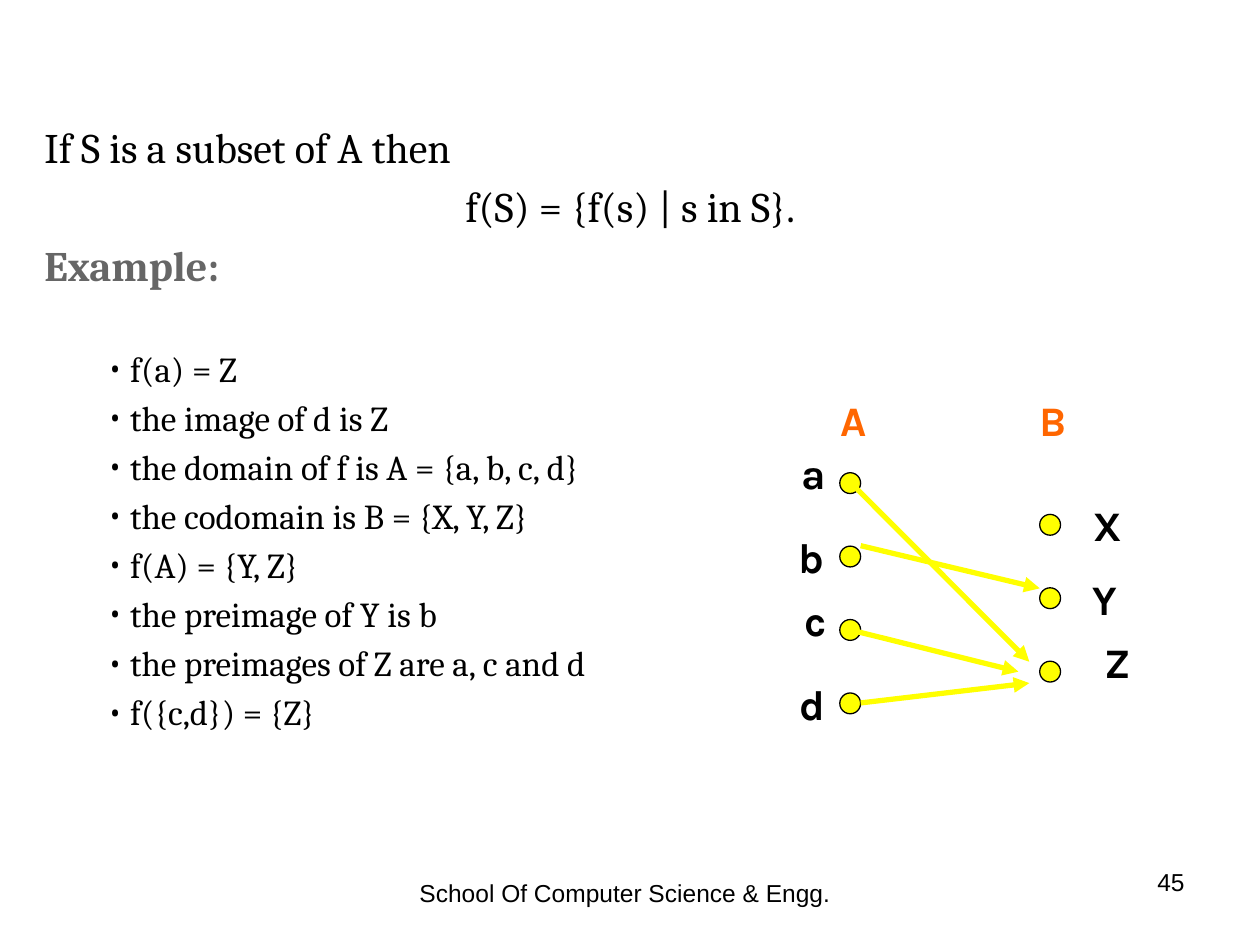
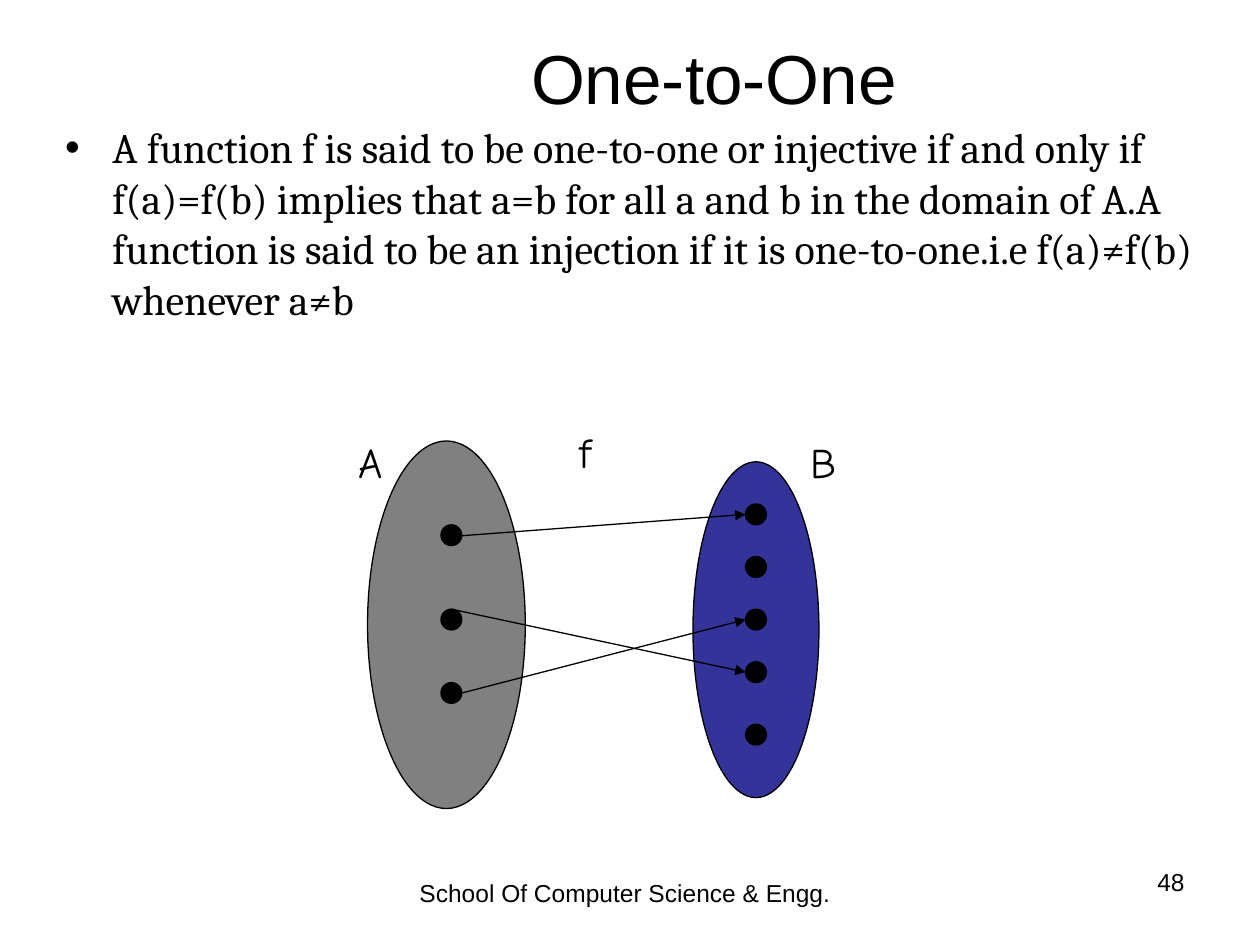
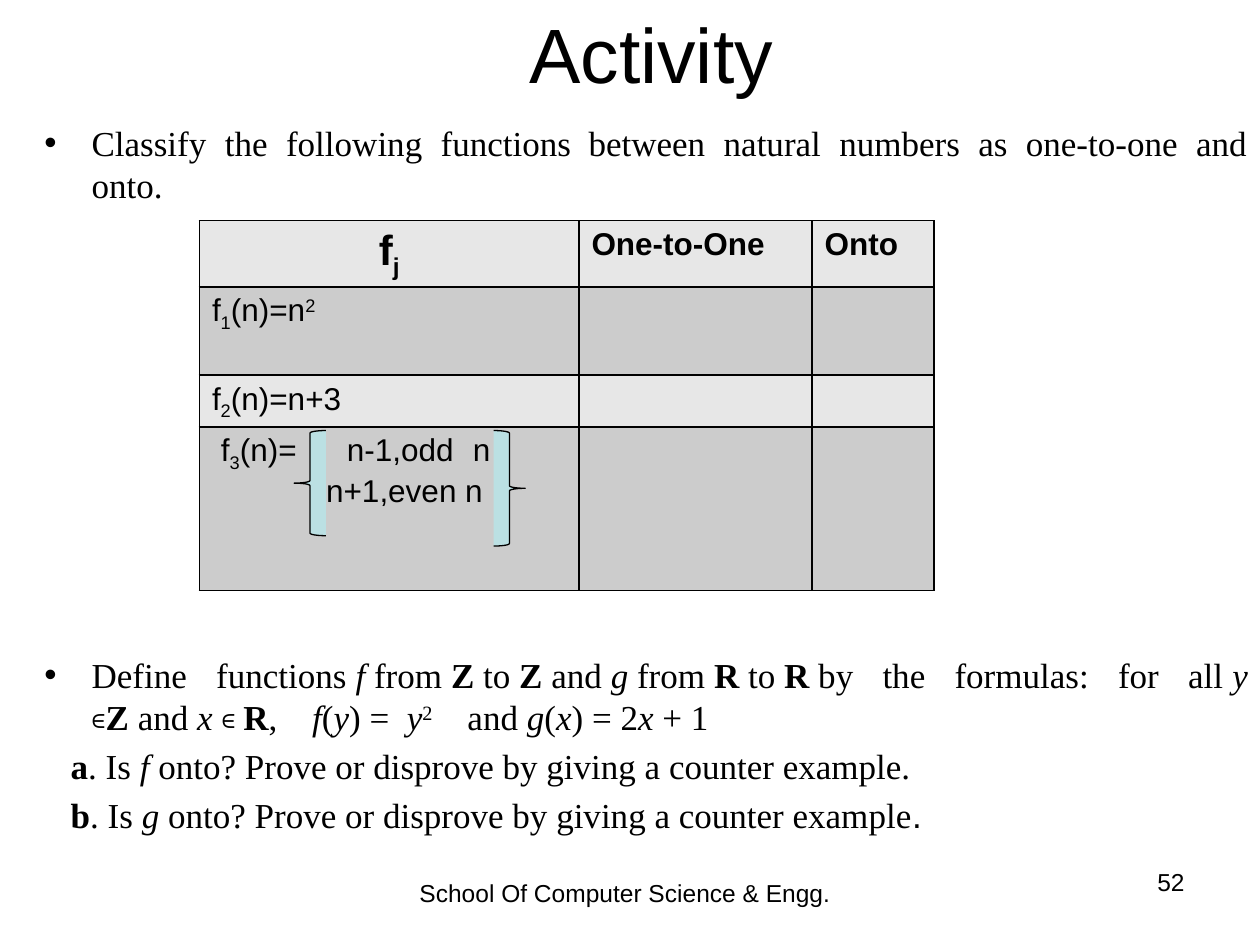
from lxml import etree
from pptx import Presentation
from pptx.dml.color import RGBColor
from pptx.enum.shapes import MSO_CONNECTOR, MSO_SHAPE
from pptx.enum.text import MSO_AUTO_SIZE, MSO_ANCHOR, PP_ALIGN
from pptx.oxml.ns import qn
from pptx.util import Cm, Pt

LEFT, CENTER, RIGHT, JUSTIFY = (PP_ALIGN.LEFT, PP_ALIGN.CENTER,
                                PP_ALIGN.RIGHT, PP_ALIGN.JUSTIFY)
MIDDLE = MSO_ANCHOR.MIDDLE
NO_AUTOFIT = MSO_AUTO_SIZE.NONE
OVAL, LEFT_BRACE, RIGHT_BRACE = (MSO_SHAPE.OVAL, MSO_SHAPE.LEFT_BRACE,
                                 MSO_SHAPE.RIGHT_BRACE)
STRAIGHT = MSO_CONNECTOR.STRAIGHT

BLACK = RGBColor(0x00, 0x00, 0x00)
GREY_TEXT = RGBColor(0x66, 0x66, 0x66)
ORANGE = RGBColor(0xFF, 0x66, 0x00)
YELLOW = RGBColor(0xFF, 0xFF, 0x00)
DOMAIN_GREY = RGBColor(0x80, 0x80, 0x80)
CODOMAIN_BLUE = RGBColor(0x33, 0x33, 0x99)
BRACE_BLUE = RGBColor(0xBB, 0xE0, 0xE3)
ROW_LIGHT = RGBColor(0xE7, 0xE7, 0xE7)
ROW_DARK = RGBColor(0xCC, 0xCC, 0xCC)

SANS, SERIF, TIMES = "Arial", "Cambria", "Times New Roman"
FOOTER = "School Of Computer Science & Engg."
DOT = 0.42
NBSP = chr(160)

RUN_STYLES = {
    "b": {"bold": True},
    "i": {"italic": True},
    "symbol": {"italic": True, "name": SERIF},
    "sans": {"name": SANS},
}
BASELINES = {"sub": "-25000", "sup": "30000"}


def set_attributes(target, values):
    for name, value in values.items():
        setattr(target, name, value)


def place(shape, box):
    set_attributes(shape, dict(zip(("left", "top", "width", "height"), map(Cm, box))))


def write(paragraph, content, size, font=SANS, color=BLACK, bold=False,
          align=LEFT, before=None, indent=None, bullet=None, tabs=()):
    """Fill a paragraph; content is a string or a list of strings and (text, style).

    A tilde stands for a no-break space; indent is (left, first line) in cm;
    bullet is None to inherit, "" for none, or a character.
    """
    properties = paragraph._p.get_or_add_pPr()
    if indent:
        properties.set("marL", str(Cm(indent[0])))
        properties.set("indent", str(Cm(indent[1])))
    if bullet:
        etree.SubElement(properties, qn("a:buFont")).set("typeface", font)
        etree.SubElement(properties, qn("a:buChar")).set("char", bullet)
    elif bullet == "":
        etree.SubElement(properties, qn("a:buNone"))
    if tabs:
        tab_list = etree.SubElement(properties, qn("a:tabLst"))
        for position in tabs:
            tab = etree.SubElement(tab_list, qn("a:tab"))
            tab.set("pos", str(Cm(position)))
            tab.set("algn", "l")
    paragraph.alignment = align
    if before is not None:
        paragraph.space_before = Pt(before)
    for part in [content] if isinstance(content, str) else content:
        text, style = (part, "") if isinstance(part, str) else part
        run = paragraph.add_run()
        run.text = text.replace("~", NBSP)
        base = {"size": Pt(size), "name": font, "bold": bold}
        set_attributes(run.font, base | RUN_STYLES.get(style, {}))
        run.font.color.rgb = color
        if style in BASELINES:
            run._r.get_or_add_rPr().set("baseline", BASELINES[style])


def write_all(frame, entries, **shared):
    """Write (content, format) entries as the paragraphs of a text frame."""
    for index, (content, values) in enumerate(entries):
        paragraph = frame.add_paragraph() if index else frame.paragraphs[0]
        first = {} if index else {"before": 0}
        write(paragraph, content, **(shared | first | values))


def add_label(shapes, text, box, **values):
    frame = shapes.add_textbox(*map(Cm, box)).text_frame
    frame.word_wrap = True
    write(frame.paragraphs[0], text, **values)


def add_outlined(shapes, kind, box, fill):
    shape = shapes.add_shape(kind, *map(Cm, box))
    shape.shadow.inherit = False
    shape.fill.solid()
    shape.fill.fore_color.rgb = fill
    shape.line.color.rgb = BLACK
    shape.line.width = Pt(0.75)
    return shape


def add_dots(shapes, left, tops, fill):
    for top in tops:
        add_outlined(shapes, OVAL, (left, top, DOT, DOT), fill)


def add_arrows(shapes, ends, color, width):
    for coordinates in ends:
        arrow = shapes.add_connector(STRAIGHT, *map(Cm, coordinates))
        arrow.line.color.rgb = color
        arrow.line.width = Pt(width)
        etree.SubElement(arrow.line._get_or_add_ln(), qn("a:tailEnd")).set("type", "triangle")
        etree.SubElement(arrow._element.spPr, qn("a:effectLst"))


def add_page(deck, number, body_box, title=None, title_box=None, title_size=44):
    """Add a slide with its title, footer and number; return it and its body frame."""
    slide = deck.slides.add_slide(deck.slide_layouts[1])
    heading, body = slide.shapes.title, slide.placeholders[1]
    if title:
        place(heading, title_box)
        set_attributes(heading.text_frame, {"auto_size": NO_AUTOFIT,
                                            "vertical_anchor": MIDDLE})
        write(heading.text_frame.paragraphs[0], title, title_size, align=CENTER)
    else:
        heading._element.getparent().remove(heading._element)
    place(body, body_box)
    body.text_frame.auto_size = NO_AUTOFIT
    add_label(slide.shapes, FOOTER, (6.35, 17.57, 12.5, 0.84), size=14, align=CENTER)
    add_label(slide.shapes, str(number), (18.21, 17.36, 5.92, 1.31), size=14, align=RIGHT)
    return slide, body.text_frame


def format_cell(cell, fill):
    cell.margin_bottom = Cm(0.05)
    properties = cell._tc.get_or_add_tcPr()
    for side in ("lnL", "lnR", "lnT", "lnB"):
        border = etree.SubElement(properties, qn(f"a:{side}"), w=str(Pt(1)))
        color = etree.SubElement(etree.SubElement(border, qn("a:solidFill")), qn("a:srgbClr"))
        color.set("val", str(BLACK))
    cell.fill.solid()
    cell.fill.fore_color.rgb = fill


def add_function_table(slide):
    widths, heights = (7.65, 4.7, 2.46), (1.27, 1.78, 1.02, 3.3)
    rows = [
        [[(["f", ("j", "sub")], {"size": 24, "bold": True, "align": CENTER})],
         [("One-to-One", {"bold": True})],
         [("Onto", {"bold": True})]],
        [[(["f", ("1", "sub"), "(n)=n", ("2", "sup")], {})]],
        [[(["f", ("2", "sub"), "(n)=n+3"], {})]],
        [[(["f", ("3", "sub"), "(n)=\tn-1,odd\tn"],
           {"indent": (0.18, 0), "tabs": (2.45, 4.95)}),
          ("n+1,even n", {"indent": (2.3, 0)})]],
    ]
    table = slide.shapes.add_table(len(rows), len(widths), Cm(4.02), Cm(4.45),
                                   Cm(sum(widths)), Cm(sum(heights))).table
    for column, width in zip(table.columns, widths):
        column.width = Cm(width)
    for row_index, (row, height) in enumerate(zip(rows, heights)):
        table.rows[row_index].height = Cm(height)
        for column_index in range(len(widths)):
            cell = table.cell(row_index, column_index)
            format_cell(cell, ROW_DARK if row_index % 2 else ROW_LIGHT)
            if column_index < len(row):
                write_all(cell.text_frame, row[column_index], size=18)


def build_image_of_set(deck):
    slide, body = add_page(deck, 45, (0.64, 2.33, 24.13, 14.82))
    facts = ["f(a) = Z", "the image of d is Z", "the domain of f is A = {a, b, c, d}",
             "the codomain is B = {X, Y, Z}", "f(A) = {Y, Z}", "the preimage of Y is b",
             "the preimages of Z are a, c and d", "f({c,d}) = {Z}"]
    definition = {"size": 24, "bullet": ""}
    entries = [("If S is a subset of A then", definition),
               ("f(S) = {f(s) | s in S}.", definition | {"align": CENTER}),
               ("Example:", definition | {"color": GREY_TEXT, "bold": True})]
    for index, fact in enumerate(facts):
        entries.append((fact, {"size": 20, "bullet": "•", "indent": (1.73, -0.46),
                               "before": 4 if index else 33}))
    write_all(body, entries, font=SERIF)

    shapes = slide.shapes
    pitch = 1.48
    add_dots(shapes, 16.93, [9.53 + pitch * i for i in range(4)], YELLOW)
    add_dots(shapes, 20.96, [10.37 + pitch * i for i in range(3)], YELLOW)
    labels = [("A", 16.69, 7.82, ORANGE), ("B", 20.7, 7.82, ORANGE),
              ("a", 15.91, 8.89, BLACK), ("b", 15.85, 10.58, BLACK),
              ("c", 15.96, 11.85, BLACK), ("d", 15.86, 13.55, BLACK),
              ("X", 21.79, 9.95, BLACK), ("Y", 21.77, 11.43, BLACK),
              ("Z", 22.01, 12.7, BLACK)]
    for text, left, top, color in labels:
        add_label(shapes, text, (left, top, 1.1, 1.27), size=24, font="Karla",
                  color=color, bold=True)
    add_arrows(shapes, [(17.15, 9.73, 20.75, 13.34), (17.35, 11, 20.96, 11.86),
                        (17.15, 12.7, 20.53, 13.54), (17.35, 14.17, 20.75, 13.77)],
               YELLOW, 3)


def build_one_to_one(deck):
    slide, body = add_page(deck, 48, (1.06, 2.33, 23.75, 15.03),
                           "One-to-One", (3.98, 0.76, 20.83, 1.59), 39.6)
    write_all(body, [("A function f is said to be one-to-one or injective if and only if "
                      "f(a)=f(b) implies that a=b for all a and b in the domain of A.A "
                      "function is said to be an injection if it is one-to-one.i.e "
                      "f(a)≠f(b) whenever a≠b", {})], size=24, font=SERIF)

    mapping = slide.shapes.add_group_shape().shapes
    add_outlined(mapping, OVAL, (13.97, 9.31, 2.54, 6.77), CODOMAIN_BLUE)
    add_outlined(mapping, OVAL, (7.41, 8.89, 3.18, 7.41), DOMAIN_GREY)
    add_dots(mapping, 8.89, (10.58, 12.28, 13.76), BLACK)
    add_dots(mapping, 15.03, (10.16, 11.22, 12.28, 13.34, 14.6), BLACK)
    add_arrows(mapping, [(9.31, 10.8, 15.03, 10.37), (9.1, 12.28, 15.03, 13.55),
                         (9.31, 13.97, 15.03, 12.49)], BLACK, 0.75)
    for text, left, top in [("f", 11.43, 8.47), ("A", 6.98, 8.68), ("B", 16.09, 8.68)]:
        add_label(mapping, text, (left, top, 1.48, 1.27), size=24, font="Comic Neue")


def build_activity(deck):
    slide, body = add_page(deck, 52, (0.64, 2.33, 24.77, 14.68),
                           "Activity", (1.7, 0, 22.86, 2.12))
    formulas = ["Define functions", ("~f~", "i"), "from~", ("Z", "b"), "~to~", ("Z", "b"),
                "~and~", ("g", "i"), "~from~", ("R", "b"), "~to~", ("R", "b"),
                "~by the formulas: for all~", ("y ", "i"), ("∊", "symbol"), ("Z~", "b"),
                "and~", ("x ", "i"), ("∊ ", "symbol"), ("R", "b"), ",\t", ("f", "i"), "(",
                ("y", "i"), ") = ~", ("y", "i"), ("2", "sup"), "\tand~", ("g", "i"), "(",
                ("x", "i"), ") = 2", ("x~", "i"), "+ 1"]
    question = {"bullet": "", "indent": (0.53, 0)}
    write_all(body, [
        ("Classify the following functions~~between natural numbers as one-to-one and onto.",
         {}),
        (formulas, {"before": 256, "tabs": (5.4, 8.53)}),
        ([("a", "b"), ". Is~", ("f~", "i"),
          "onto? Prove or disprove by giving a counter example."], question),
        ([("b", "b"), ". Is~", ("g", "i"),
          "~onto? Prove or disprove by giving a counter example", (".", "sans")], question),
    ], size=20, font=TIMES, align=JUSTIFY)

    add_function_table(slide)
    for kind, left, height in ((LEFT_BRACE, 5.93, 2.12), (RIGHT_BRACE, 9.95, 2.33)):
        brace = add_outlined(slide.shapes, kind, (left, 8.68, 0.64, height), BRACE_BLUE)
        brace.adjustments[0] = 0.08


def main():
    deck = Presentation()
    deck.slide_width, deck.slide_height = Cm(25.4), Cm(19.05)
    build_image_of_set(deck)
    build_one_to_one(deck)
    build_activity(deck)
    deck.save("out.pptx")


if __name__ == "__main__":
    main()
